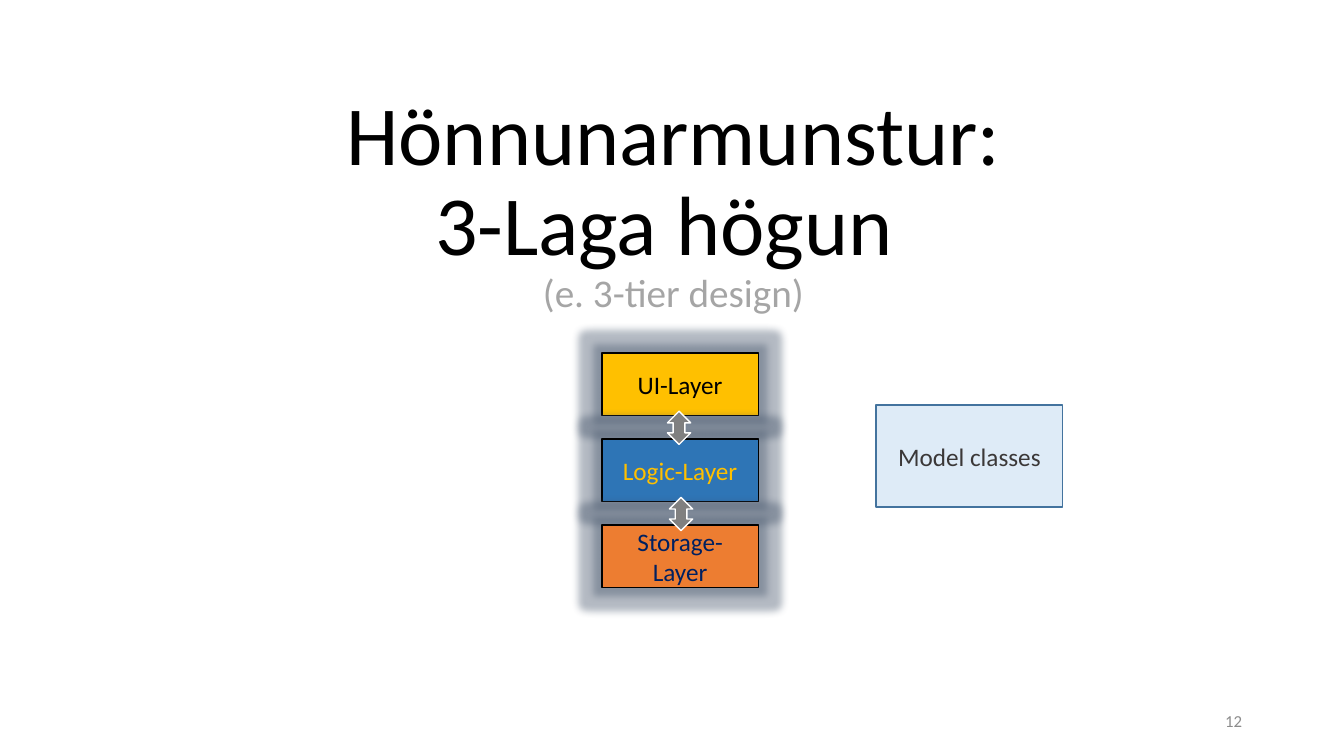
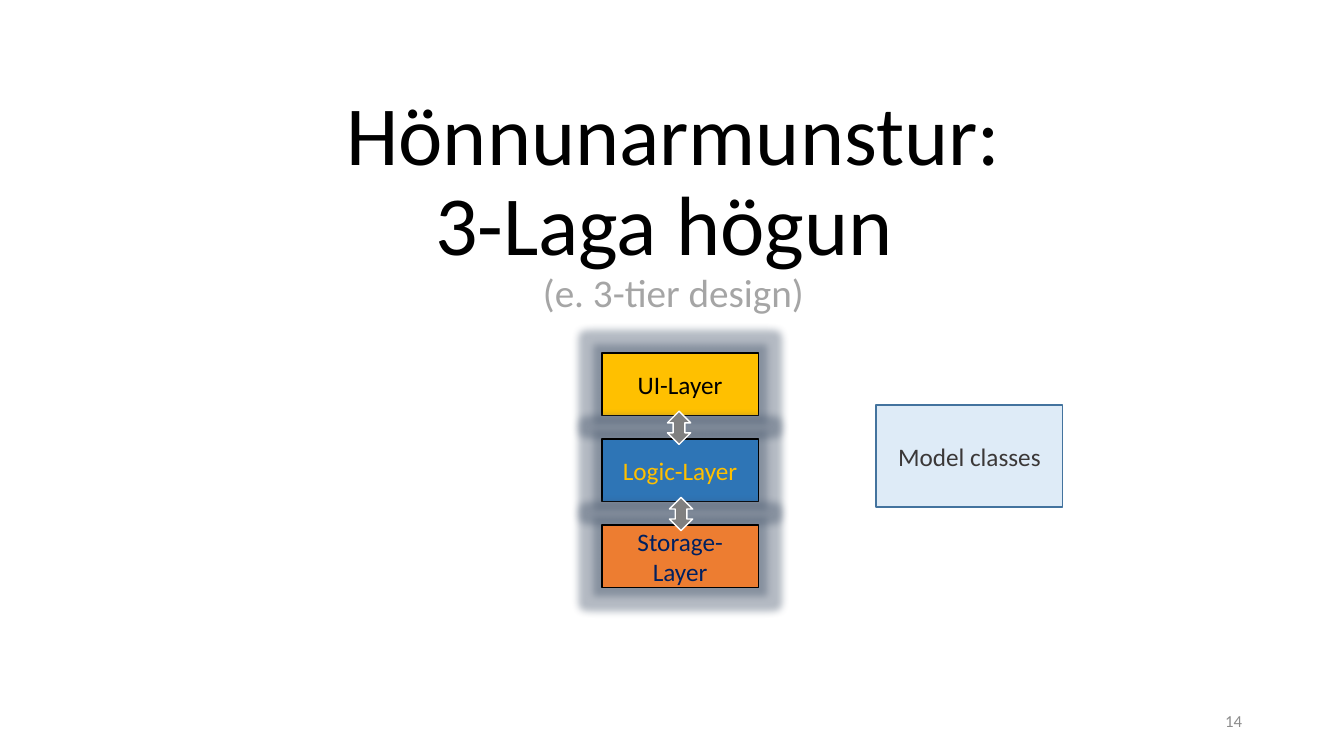
from dataclasses import dataclass
from typing import Optional

import pptx
import pptx.dml.color
import pptx.enum.shapes
import pptx.enum.text
import pptx.oxml
import pptx.oxml.ns
import pptx.util

Shapes = pptx.enum.shapes.MSO_SHAPE
Align = pptx.enum.text.PP_ALIGN
Anchor = pptx.enum.text.MSO_ANCHOR


@dataclass(frozen=True)
class Theme:
    font: str = "Calibri"
    black: str = "000000"
    white: str = "FFFFFF"
    subtitle: str = "A5A5A5"
    page_number: str = "8C8C8C"
    gold: str = "FFC000"
    blue: str = "2E75B6"
    orange: str = "ED7D31"
    navy: str = "002060"
    arrow: str = "808080"
    model_fill: str = "DEEBF7"
    model_line: str = "43739E"
    model_text: str = "3B3838"
    glow: str = "44546A"
    title_size: int = 60
    subtitle_size: int = 28
    label_size: int = 18
    number_size: int = 12


@dataclass(frozen=True)
class Area:
    """Left and width in percent of slide width, top and height of its height."""
    left: float
    top: float
    width: float
    height: float

    def shifted(self, right: float, down: float) -> "Area":
        return Area(self.left + right, self.top + down, self.width, self.height)

    def lengths(self) -> tuple[int, int, int, int]:
        return (int(WIDTH * self.left / 100), int(HEIGHT * self.top / 100),
                int(WIDTH * self.width / 100), int(HEIGHT * self.height / 100))


@dataclass(frozen=True)
class Block:
    area: Area
    fill: str
    line: str
    label: str = ""
    text_color: str = ""
    kind: Shapes = Shapes.RECTANGLE
    glow: Optional[str] = None


THEME = Theme()
WIDTH, HEIGHT = pptx.util.Inches(13.33), pptx.util.Inches(7.5)
GLOW_RADIUS = pptx.util.Pt(11)

# Shared layout
TITLE_AREA = Area(12.6, 7.73, 75, 34.8)
NUMBER_AREA = Area(70.67, 92.67, 22.5, 5.33)
FIRST_LAYER = Area(44.79, 46.67, 11.63, 8.27)
LAYER_STEP = 11.4
FIRST_ARROW = Area(49.66, 54.4, 1.73, 4.4)
ARROW_SHIFT = 0.15

LAYERS = [
    Block(FIRST_LAYER.shifted(0, row * LAYER_STEP), fill, THEME.black,
          label, text_color, glow=THEME.glow)
    for row, (label, fill, text_color) in enumerate([
        ("UI-Layer", THEME.gold, THEME.black),
        ("Logic-Layer", THEME.blue, THEME.gold),
        ("Storage-Layer", THEME.orange, THEME.navy),
    ])
]
ARROWS = [
    Block(FIRST_ARROW.shifted(gap * ARROW_SHIFT, gap * LAYER_STEP),
          THEME.arrow, THEME.white, kind=Shapes.UP_DOWN_ARROW)
    for gap in reversed(range(len(LAYERS) - 1))
]
MODEL_CLASSES = Block(Area(65.19, 53.6, 13.88, 13.47), THEME.model_fill,
                      THEME.model_line, "Model classes", THEME.model_text)


def rgb(color: str) -> pptx.dml.color.RGBColor:
    return pptx.dml.color.RGBColor.from_string(color)


def style_run(run, size: int, color: str) -> None:
    run.font.name = THEME.font
    run.font.size = pptx.util.Pt(size)
    run.font.color.rgb = rgb(color)


def write(frame, text: str, size: int, color: str, align: Align, anchor: Anchor) -> None:
    frame.word_wrap = True
    frame.auto_size = pptx.enum.text.MSO_AUTO_SIZE.NONE
    frame.vertical_anchor = anchor
    paragraph = frame.paragraphs[0]
    paragraph.text = text
    paragraph.alignment = align
    for run in paragraph.runs:
        style_run(run, size, color)


def add_glow(shape, color: str) -> None:
    effects = shape._element.spPr.find(pptx.oxml.ns.qn("a:effectLst"))
    effects.append(pptx.oxml.parse_xml(
        f'<a:glow {pptx.oxml.ns.nsdecls("a")} rad="{int(GLOW_RADIUS)}">'
        f'<a:srgbClr val="{color}"><a:alpha val="40000"/></a:srgbClr></a:glow>'))


def draw_block(slide, block: Block) -> None:
    shape = slide.shapes.add_shape(block.kind, *block.area.lengths())
    shape.fill.solid()
    shape.fill.fore_color.rgb = rgb(block.fill)
    shape.line.color.rgb = rgb(block.line)
    shape.line.width = pptx.util.Pt(1)
    shape.shadow.inherit = False
    if block.glow:
        add_glow(shape, block.glow)
    if block.label:
        write(shape.text_frame, block.label, THEME.label_size, block.text_color,
              Align.CENTER, Anchor.MIDDLE)


def draw_title(slide) -> None:
    title = slide.shapes.title
    title.left, title.top, title.width, title.height = TITLE_AREA.lengths()
    write(title.text_frame, "Hönnunarmunstur:\v3-Laga högun \v(e. 3-tier design)",
          THEME.title_size, THEME.black, Align.CENTER, Anchor.BOTTOM)
    heading = title.text_frame.paragraphs[0]
    heading.line_spacing = 0.9
    style_run(heading.runs[-1], THEME.subtitle_size, THEME.subtitle)


def draw_page_number(slide, number: int) -> None:
    box = slide.shapes.add_textbox(*NUMBER_AREA.lengths())
    write(box.text_frame, str(number), THEME.number_size, THEME.page_number,
          Align.RIGHT, Anchor.MIDDLE)


def build_slide(deck, number: int) -> None:
    slide = deck.slides.add_slide(deck.slide_layouts[0])
    subtitle = slide.placeholders[1]._element
    subtitle.getparent().remove(subtitle)
    draw_title(slide)
    draw_page_number(slide, number)
    for block in [*LAYERS, *ARROWS, MODEL_CLASSES]:
        draw_block(slide, block)


# Build the deck
deck = pptx.Presentation()
deck.slide_width, deck.slide_height = WIDTH, HEIGHT
for page in (12, 14):
    build_slide(deck, page)
deck.save("out.pptx")
